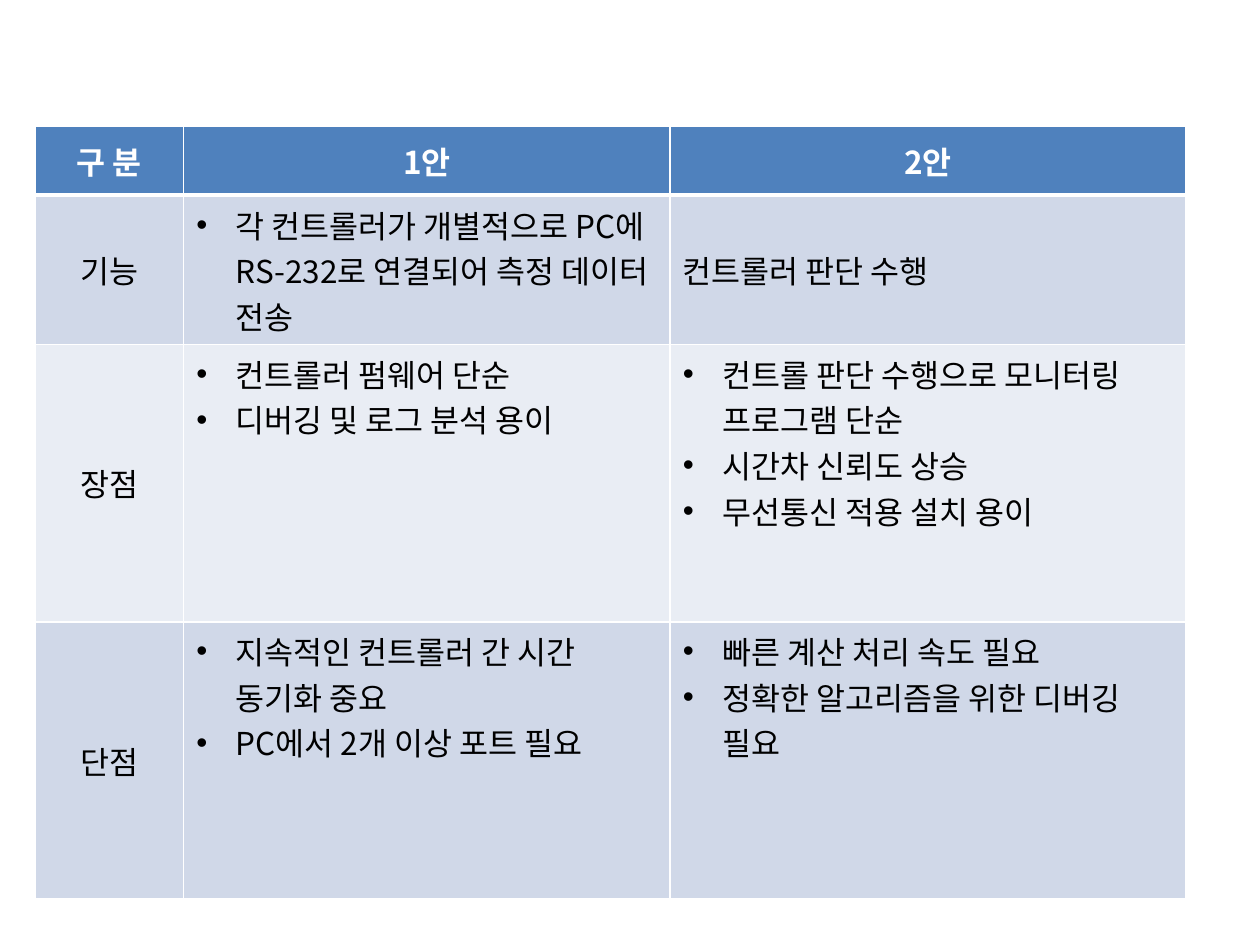
from dataclasses import dataclass

from pptx import Presentation
from pptx.dml.color import RGBColor
from pptx.enum import text
from pptx.oxml import parse_xml
from pptx.oxml.ns import nsdecls
from pptx.util import Pt


@dataclass(frozen=True)
class Theme:
    font: str = "Noto Sans CJK KR"
    size: float = 18
    header_fill: str = "4F81BD"
    bands: tuple = ("D0D8E8", "E9EDF4")
    header_text: str = "FFFFFF"
    body_text: str = "000000"
    border: str = "FFFFFF"
    thin: float = 1
    thick: float = 3


THEME = Theme()
SLIDE_SIZE = (720, 540)
TABLE_ORIGIN = (20, 72)
COLUMN_WIDTHS = (85, 278, 294.5)
ROW_HEIGHTS = (39.5, 34, 158.5, 158.5)
BULLET_INDENT = 22.5

HEADERS = ("구 분", "1안", "2안")
# A list is bulleted; a plain string is a single unbulleted paragraph.
BODY = [
    ("기능",
     ["각 컨트롤러가 개별적으로 PC에 RS-232로 연결되어 측정 데이터 전송"],
     "컨트롤러 판단 수행"),
    ("장점",
     ["컨트롤러 펌웨어 단순", "디버깅 및 로그 분석 용이"],
     ["컨트롤 판단 수행으로 모니터링 프로그램 단순", "시간차 신뢰도 상승",
      "무선통신 적용 설치 용이"]),
    ("단점",
     ["지속적인 컨트롤러 간 시간 동기화 중요", "PC에서 2개 이상 포트 필요"],
     ["빠른 계산 처리 속도 필요", "정확한 알고리즘을 위한 디버깅 필요"]),
]


def add_borders(cell, row):
    """Draw thin cell borders, with a thick rule between header and body."""
    widths = {
        "L": THEME.thin,
        "R": THEME.thin,
        "T": THEME.thick if row == 1 else THEME.thin,
        "B": THEME.thick if row == 0 else THEME.thin,
    }
    properties = cell._tc.get_or_add_tcPr()
    for side, width in widths.items():
        properties.append(parse_xml(
            f'<a:ln{side} {nsdecls("a")} w="{Pt(width)}"><a:solidFill>'
            f'<a:srgbClr val="{THEME.border}"/></a:solidFill></a:ln{side}>'))


def add_bullet(paragraph):
    properties = paragraph._p.get_or_add_pPr()
    properties.set("marL", str(Pt(BULLET_INDENT)))
    properties.set("indent", str(-Pt(BULLET_INDENT)))
    properties.append(parse_xml(f'<a:buFont {nsdecls("a")} typeface="Arial"/>'))
    properties.append(parse_xml(f'<a:buChar {nsdecls("a")} char="•"/>'))


def add_run(paragraph, content, is_header):
    run = paragraph.add_run()
    run.text = content
    font = run.font
    font.size = Pt(THEME.size)
    font.bold = is_header
    font.color.rgb = RGBColor.from_string(
        THEME.header_text if is_header else THEME.body_text)
    font.name = THEME.font
    run._r.get_or_add_rPr().append(
        parse_xml(f'<a:ea {nsdecls("a")} typeface="{THEME.font}"/>'))


def fill_cell(cell, content, row, column):
    is_header = row == 0
    add_borders(cell, row)
    cell.fill.solid()
    cell.fill.fore_color.rgb = RGBColor.from_string(
        THEME.header_fill if is_header else THEME.bands[(row - 1) % 2])
    top_aligned = row > 1 and column > 0
    cell.vertical_anchor = (text.MSO_ANCHOR.TOP if top_aligned
                            else text.MSO_ANCHOR.MIDDLE)
    bulleted = isinstance(content, list)
    frame = cell.text_frame
    for index, line in enumerate(content if bulleted else [content]):
        paragraph = frame.add_paragraph() if index else frame.paragraphs[0]
        if bulleted:
            add_bullet(paragraph)
        if is_header or column == 0:
            paragraph.alignment = text.PP_ALIGN.CENTER
        add_run(paragraph, line, is_header)


def main():
    presentation = Presentation()
    presentation.slide_width, presentation.slide_height = map(Pt, SLIDE_SIZE)
    slide = presentation.slides.add_slide(presentation.slide_layouts[6])

    rows = [HEADERS, *BODY]
    extent = (sum(COLUMN_WIDTHS), sum(ROW_HEIGHTS))
    table = slide.shapes.add_table(
        len(rows), len(HEADERS), *map(Pt, TABLE_ORIGIN + extent)).table
    for column, width in zip(table.columns, COLUMN_WIDTHS):
        column.width = Pt(width)
    for row, height in zip(table.rows, ROW_HEIGHTS):
        row.height = Pt(height)
    for row, contents in enumerate(rows):
        for column, content in enumerate(contents):
            fill_cell(table.cell(row, column), content, row, column)

    presentation.save("out.pptx")


if __name__ == "__main__":
    main()
